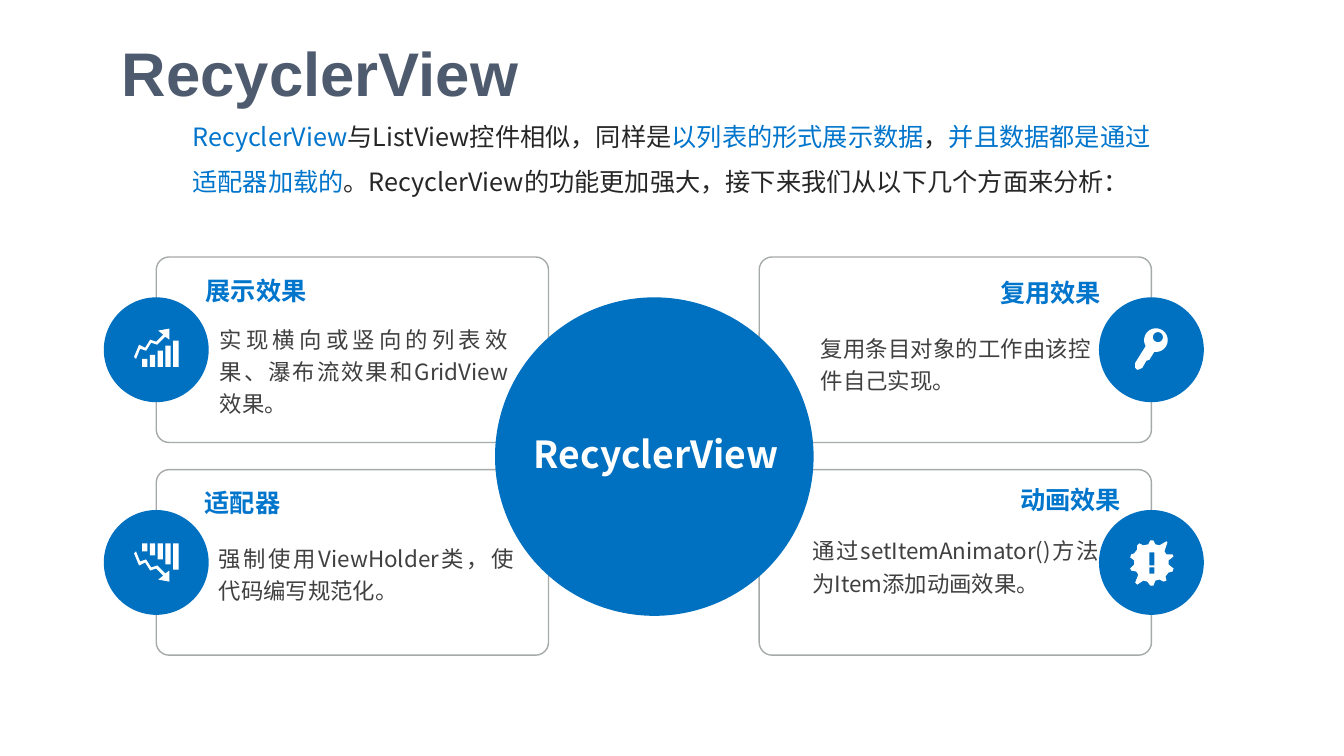
from math import cos, radians, sin

from pptx import Presentation
from pptx.dml.color import RGBColor
from pptx.enum.shapes import MSO_SHAPE
from pptx.enum.text import MSO_ANCHOR, PP_ALIGN
from pptx.oxml.ns import qn
from pptx.util import Inches, Pt

ROUND_RECT, OVAL = MSO_SHAPE.ROUNDED_RECTANGLE, MSO_SHAPE.OVAL
LEFT, RIGHT = PP_ALIGN.LEFT, PP_ALIGN.RIGHT
CENTER, JUSTIFY = PP_ALIGN.CENTER, PP_ALIGN.JUSTIFY
TOP, MIDDLE = MSO_ANCHOR.TOP, MSO_ANCHOR.MIDDLE

FILL_BLUE = RGBColor(0x00, 0x70, 0xC0)
TEXT_BLUE = RGBColor(0x00, 0x75, 0xCC)
SLATE = RGBColor(0x4E, 0x5B, 0x6F)
DARK = RGBColor(0x26, 0x26, 0x26)
GRAY = RGBColor(0x40, 0x40, 0x40)
BORDER = RGBColor(0xA6, 0xAA, 0xA9)
WHITE = RGBColor(0xFF, 0xFF, 0xFF)
SANS = "Noto Sans CJK SC"
BADGE = 1.04
CARD_W, CARD_H = 3.89, 1.84


def add_text(s, box, runs, size, font=SANS, bold=False, align=LEFT,
             anchor=TOP, inset=(0, 0), spacing=1.0, before=0, indent=0):
    tf = s.shapes.add_textbox(*map(Inches, box)).text_frame
    tf.word_wrap = True
    tf.vertical_anchor = anchor
    tf.margin_left = tf.margin_right = Inches(inset[0])
    tf.margin_top = tf.margin_bottom = Inches(inset[1])
    p = tf.paragraphs[0]
    p.alignment = align
    p.line_spacing = spacing
    p.space_before = Pt(before)
    pPr = p._p.get_or_add_pPr()
    pPr.set("hangingPunct", "0")
    if indent:
        pPr.set("marL", str(Inches(indent)))
    for text, color in runs:
        r = p.add_run()
        r.text = text
        r.font.size = Pt(size)
        r.font.name = font
        r.font.bold = bold
        r.font.color.rgb = color
        ea = r._r.get_or_add_rPr().makeelement(qn("a:ea"), {"typeface": font})
        r.font._element.find(qn("a:latin")).addnext(ea)


def add_disc(s, x, y, size):
    sp = s.shapes.add_shape(OVAL, *map(Inches, (x, y, size, size)))
    sp.shadow.inherit = False
    sp.fill.solid()
    sp.fill.fore_color.rgb = FILL_BLUE
    sp.line.fill.background()


def add_icon(s, x, y, contours):
    paths = [[(Inches(x + px), Inches(y + py)) for px, py in c]
             for c in contours]
    fb = s.shapes.build_freeform(*paths[0][0])
    for i, pts in enumerate(paths):
        if i:
            fb.move_to(*pts[0])
        fb.add_line_segments(pts[1:], close=True)
    sp = fb.convert_to_shape()
    sp.shadow.inherit = False
    sp.fill.solid()
    sp.fill.fore_color.rgb = WHITE
    sp.line.fill.background()


def rect(x, y, w, h):
    return [(x, y), (x + w, y), (x + w, y + h), (x, y + h)]


def arc(cx, cy, radius, start, end):
    return [(cx + radius * cos(radians(a)), cy + radius * sin(radians(a)))
            for a in range(start, end + 1, 8)]


def rising_icon():
    arrow = [(.47, .45), (.53, .47), (.61, .39), (.65, .42), (.65, .31),
             (.54, .33), (.59, .37), (.52, .44), (.46, .42), (.41, .50),
             (.35, .47), (.30, .59), (.32, .61), (.36, .51), (.42, .53)]
    heights = (.08, .12, .16, .21, .26)
    return [arrow] + [rect(.38 + .077 * i, .69 - h, .053, h)
                      for i, h in enumerate(heights)]


def falling_icon():
    return [[(x, 1.02 - y) for x, y in c] for c in rising_icon()]


def key_icon():
    shaft = [(.55, .54), (.50, .62), (.47, .63), (.43, .70), (.41, .71),
             (.38, .72), (.36, .70), (.36, .65)]
    return [arc(.565, .425, .117, 150, 457) + shaft,
            arc(.585, .395, .05, 0, 352)]


def alert_icon():
    burst = [(.74, .58), (.69, .54), (.69, .50), (.74, .46), (.73, .44),
             (.67, .44), (.65, .41), (.68, .32), (.67, .31), (.60, .35),
             (.56, .34), (.54, .30), (.51, .30), (.49, .34), (.44, .35),
             (.40, .33), (.38, .35), (.38, .39), (.35, .43), (.32, .44),
             (.31, .47), (.35, .50), (.35, .54), (.31, .58), (.32, .60),
             (.37, .61), (.39, .64), (.36, .72), (.38, .74), (.44, .70),
             (.48, .71), (.51, .75), (.54, .75), (.56, .70), (.60, .69),
             (.64, .71), (.67, .70), (.66, .66), (.69, .62), (.73, .61)]
    return [burst, rect(.50, .42, .05, .13), rect(.50, .57, .05, .06)]


def add_frame(s, x, y):
    sp = s.shapes.add_shape(ROUND_RECT, *map(Inches, (x, y, CARD_W, CARD_H)))
    sp.shadow.inherit = False
    sp.adjustments[0] = 0.069
    sp.fill.background()
    sp.line.color.rgb = BORDER
    sp.line.width = Pt(1)


def add_card(s, x, y, heading, heading_at, body, body_box, before, icon,
             on_right):
    dx, dy, w, h = body_box
    add_text(s, (x + dx, y + dy, w, h), [(body, GRAY)], 16, align=JUSTIFY,
             spacing=1.2, before=before)
    hx, hy = heading_at
    add_text(s, (x + hx, y + hy, 2.04, .44), [(heading, TEXT_BLUE)], 18,
             bold=True, align=RIGHT if on_right else LEFT, anchor=MIDDLE,
             spacing=1.0 if on_right else 1.2)
    badge_x = x + (CARD_W if on_right else 0) - BADGE / 2
    add_disc(s, badge_x, y + .4, BADGE)
    add_icon(s, badge_x, y + .4, icon)


def add_header(s, x, y):
    add_text(s, (x, y, 7.63, .76), [("RecyclerView", SLATE)], 44,
             font="Arial", bold=True, inset=(.05, .05))
    add_text(s, (x + .15, y + .7, 10.39, 1.26), [
        ("RecyclerView", TEXT_BLUE),
        ("与ListView控件相似，同样是", DARK),
        ("以列表的形式展示数据", TEXT_BLUE),
        ("，", DARK),
        ("并且数据都是通过适配器加载的", TEXT_BLUE),
        ("。RecyclerView的功能更加强大，接下来我们从以下几个方面来分析：", DARK),
    ], 18, inset=(.1, .05), spacing=1.5, before=3.6, indent=.5)


def add_hub(s, x, y, size):
    add_disc(s, x, y, size)
    add_text(s, (x + .3, y + 1.21, 2.6, .69), [("RecyclerView", WHITE)], 26.6,
             bold=True, align=CENTER, anchor=MIDDLE)


def add_diagram(s, x, y):
    columns, rows = (x, x + 5.98), (y, y + 2.11)
    cards = [
        (0, 0, "展示效果", (.49, .08),
         "实现横向或竖向的列表效果、瀑布流效果和GridView效果。",
         (.63, .63, 2.86, .81), 25, rising_icon()),
        (0, 1, "适配器", (.48, .07), "强制使用ViewHolder类，使代码编写规范化。",
         (.62, .69, 2.93, .92), 25, falling_icon()),
        (1, 0, "复用效果", (1.35, .13), "复用条目对象的工作由该控件自己实现。",
         (.61, .72, 2.68, .98), 45, key_icon()),
        (1, 1, "动画效果", (1.55, .07),
         "通过setItemAnimator()方法为Item添加动画效果。",
         (.53, .62, 2.84, .83), 45, alert_icon()),
    ]
    for col, row, *_ in cards:
        add_frame(s, columns[col], rows[row])
    add_hub(s, x + 3.36, y + .4, 3.16)
    for col, row, *content in cards:
        add_card(s, columns[col], rows[row], *content, on_right=col == 1)


prs = Presentation()
prs.slide_width, prs.slide_height = Inches(13.33), Inches(7.5)
s = prs.slides.add_slide(prs.slide_layouts[6])
add_header(s, 1.16, .3)
add_diagram(s, 1.55, 2.55)
prs.save("out.pptx")
